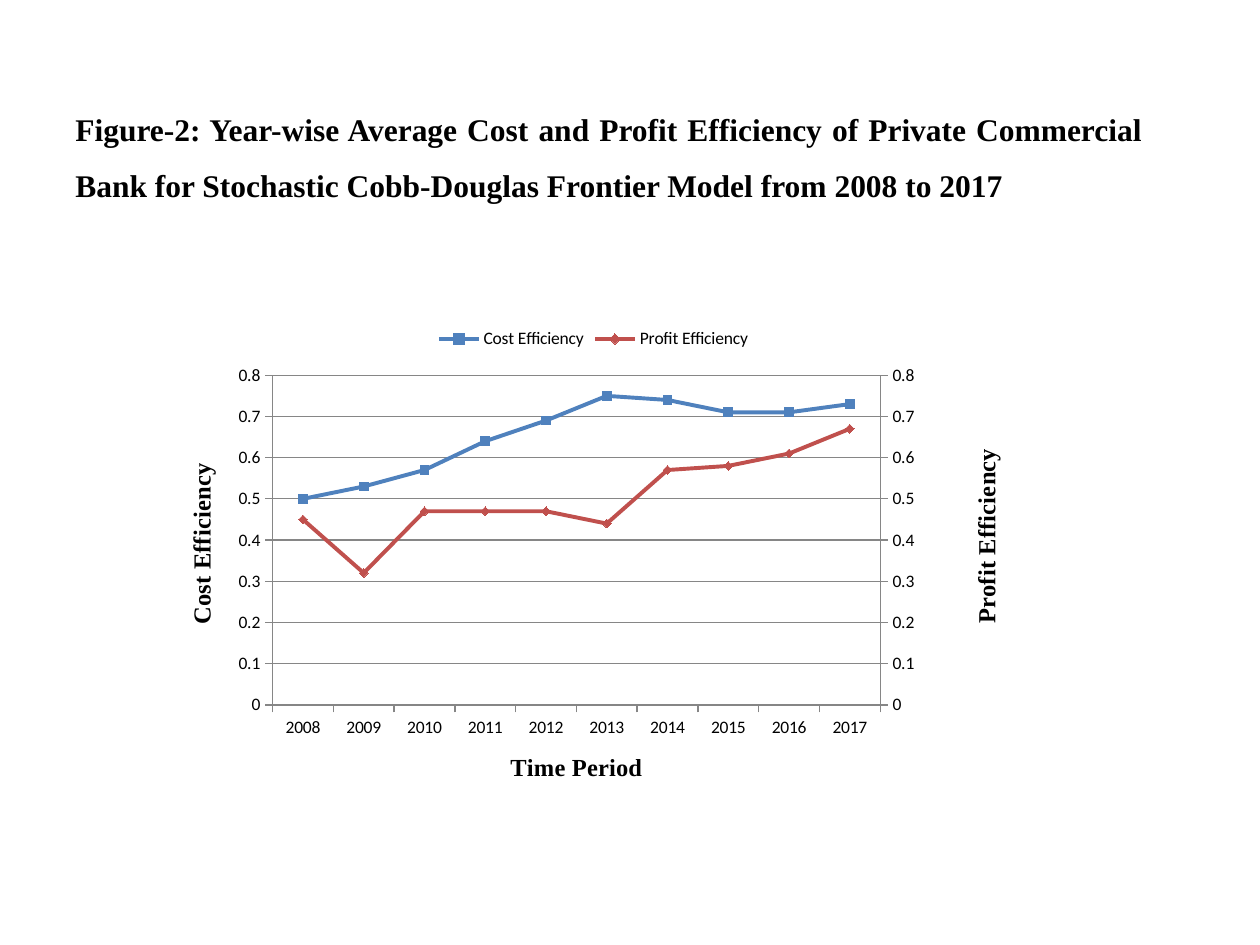
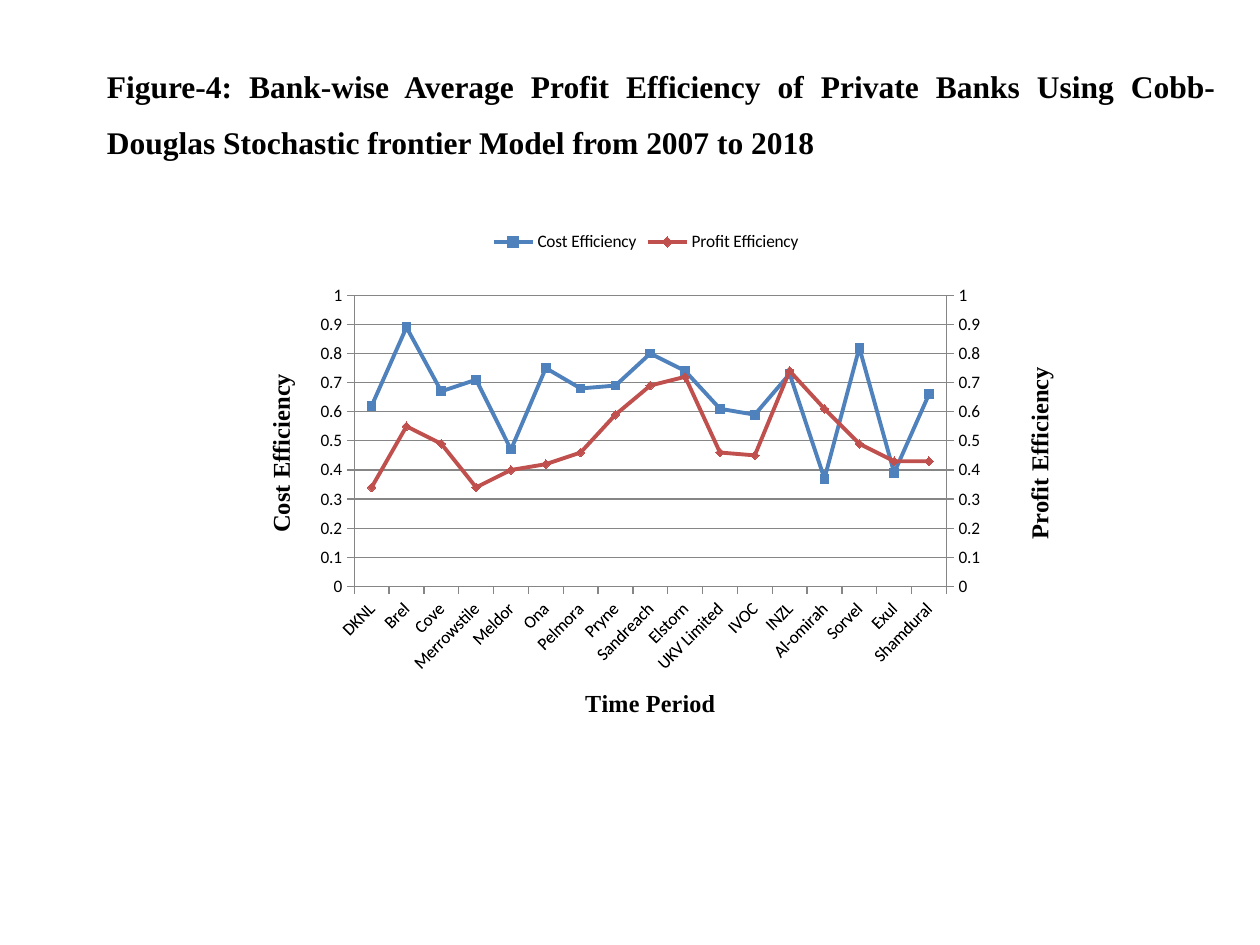
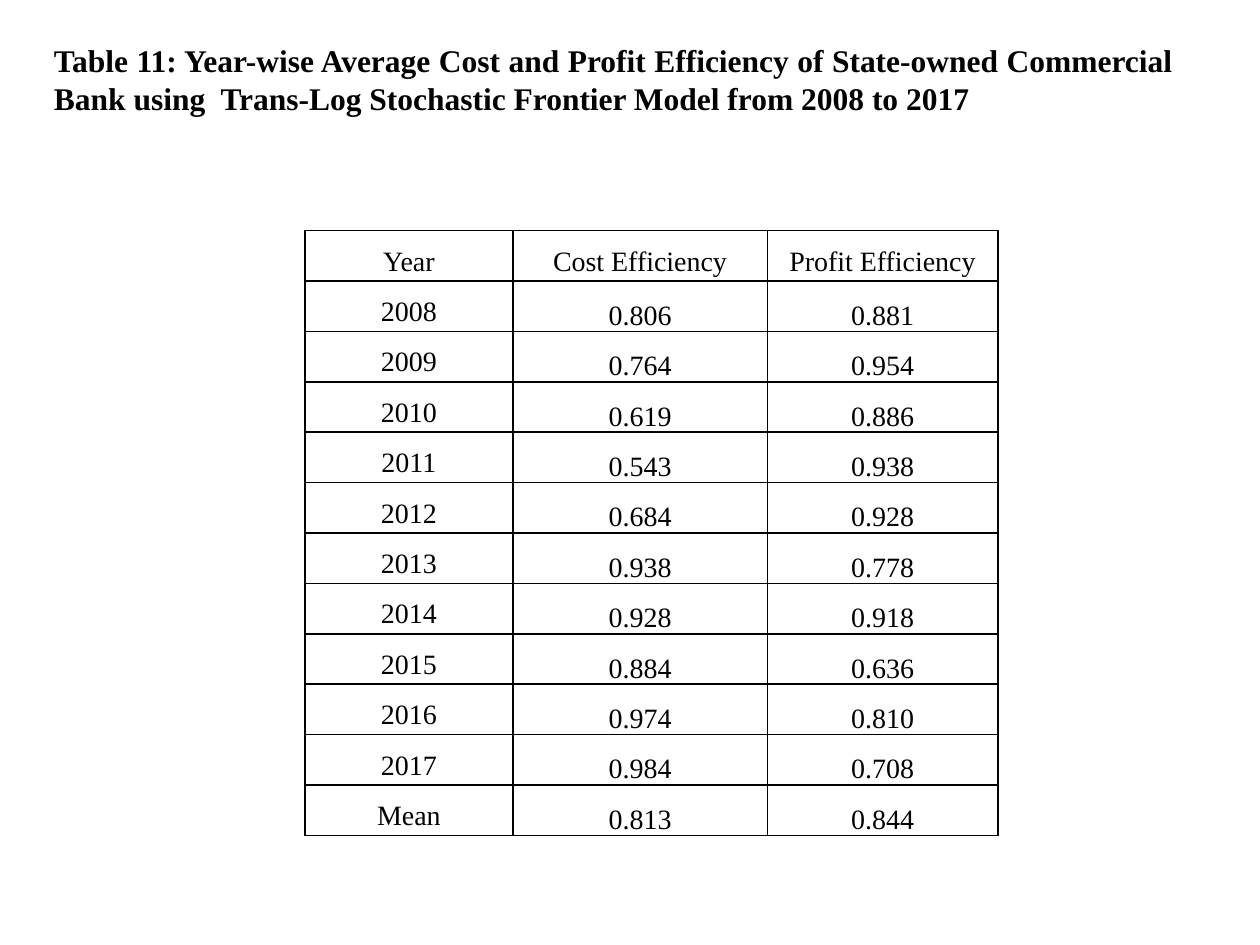
from copy import deepcopy

from lxml import etree
from pptx import Presentation
from pptx.chart.data import CategoryChartData
from pptx.dml.color import RGBColor
from pptx.enum.chart import XL_CHART_TYPE, XL_LEGEND_POSITION, XL_MARKER_STYLE, XL_TICK_MARK
from pptx.enum.text import MSO_ANCHOR, MSO_AUTO_SIZE, PP_ALIGN
from pptx.oxml.ns import qn
from pptx.util import Inches, Pt

LINE_MARKERS = XL_CHART_TYPE.LINE_MARKERS
LEGEND_TOP = XL_LEGEND_POSITION.TOP
MARKERS = (XL_MARKER_STYLE.SQUARE, XL_MARKER_STYLE.DIAMOND)
TICK_OUTSIDE = XL_TICK_MARK.OUTSIDE
TICK_NONE = XL_TICK_MARK.NONE
TOP, MIDDLE, BOTTOM = MSO_ANCHOR.TOP, MSO_ANCHOR.MIDDLE, MSO_ANCHOR.BOTTOM
FIT_SHAPE = MSO_AUTO_SIZE.SHAPE_TO_FIT_TEXT
CENTER, JUSTIFY = PP_ALIGN.CENTER, PP_ALIGN.JUSTIFY

COLORS = {
    "text": "000000",
    "paper": "FFFFFF",
    "cost": "4F81BD",
    "profit": "C0504D",
    "axis": "868686",
}
HEADING_FONT = "Times New Roman"
CHART_FONT = "Calibri"
COST, PROFIT = "Cost Efficiency", "Profit Efficiency"
TIME = "Time Period"

CHART_SLIDES = [
    {
        "title": "Figure-2: Year-wise Average Cost and Profit Efficiency of Private "
                 "Commercial Bank for Stochastic Cobb-Douglas Frontier Model from 2008 to 2017",
        "title_box": (0.5, 0.67, 8.67, 1.01),
        "chart_box": (1.25, 2.5, 6.92, 3.77),
        "plot_percent": (13.2, 12.7, 69.7, 69.4),
        "left_title_percent": (2.7, 30.3),
        "right_title_percent": (92.7, 27.2),
        "maximum": 0.8,
        "categories": [str(year) for year in range(2008, 2018)],
        "cost": [0.5, 0.53, 0.57, 0.64, 0.69, 0.75, 0.74, 0.71, 0.71, 0.73],
        "profit": [0.45, 0.32, 0.47, 0.47, 0.47, 0.44, 0.57, 0.58, 0.61, 0.67],
    },
    {
        "title": "Figure-4: Bank-wise Average Profit Efficiency of Private Banks Using "
                 "Cobb-Douglas Stochastic frontier Model from 2007 to 2018",
        "title_box": (0.75, 0.33, 9, 1.01),
        "chart_box": (1.92, 1.73, 6.5, 4.04),
        "plot_percent": (13.9, 15.2, 73.3, 57.2),
        "left_title_percent": (2.3, 29.3),
        "right_title_percent": (96.2, 27.9),
        "maximum": 1,
        "categories": ["DKNL", "Brel", "Cove", "Merrowstile", "Meldor", "Ona", "Pelmora",
                       "Pryne", "Sandreach", "Elstorn", "UKV Limited", "IVOC", "INZL",
                       "Al-omirah", "Sorvel", "Exul", "Shamdural"],
        "cost": [0.62, 0.89, 0.67, 0.71, 0.47, 0.75, 0.68, 0.69, 0.8, 0.74, 0.61, 0.59,
                 0.73, 0.37, 0.82, 0.39, 0.66],
        "profit": [0.34, 0.55, 0.49, 0.34, 0.4, 0.42, 0.46, 0.59, 0.69, 0.72, 0.46, 0.45,
                   0.74, 0.61, 0.49, 0.43, 0.43],
    },
]

TABLE_TITLE = ("Table 11: Year-wise Average Cost and Profit Efficiency of State-owned "
               "Commercial Bank using  Trans-Log Stochastic Frontier Model from 2008 to 2017")
TABLE_TITLE_BOX = (0.33, 0.27, 9.08, 0.71)
TABLE_ORIGIN = (2.42, 1.83)
COLUMN_WIDTHS = (1.65, 2.02, 1.83)
ROW_HEIGHT = 0.4
TABLE_ROWS = [
    ("Year", COST, PROFIT),
    ("2008", "0.806", "0.881"),
    ("2009", "0.764", "0.954"),
    ("2010", "0.619", "0.886"),
    ("2011", "0.543", "0.938"),
    ("2012", "0.684", "0.928"),
    ("2013", "0.938", "0.778"),
    ("2014", "0.928", "0.918"),
    ("2015", "0.884", "0.636"),
    ("2016", "0.974", "0.810"),
    ("2017", "0.984", "0.708"),
    ("Mean", "0.813", "0.844"),
]


def color(name):
    return RGBColor.from_string(COLORS[name])


def style_font(font, size, name=HEADING_FONT, bold=False):
    font.size, font.name, font.bold = Pt(size), name, bold
    font.color.rgb = color("text")


def write(paragraph, text, size, bold=False):
    run = paragraph.add_run()
    run.text = text
    style_font(run.font, size, bold=bold)


def add_title(slide, text, box, spacing=None, after=None, anchor=TOP):
    frame = slide.shapes.add_textbox(*map(Inches, box)).text_frame
    frame.word_wrap = True
    frame.auto_size = FIT_SHAPE
    frame.vertical_anchor = anchor
    paragraph = frame.paragraphs[0]
    paragraph.alignment = JUSTIFY
    paragraph.line_spacing, paragraph.space_after = spacing, after
    write(paragraph, text, 18, bold=True)


def style_axis(axis, title):
    axis.major_tick_mark, axis.minor_tick_mark = TICK_OUTSIDE, TICK_NONE
    axis.format.line.color.rgb = color("axis")
    axis.format.line.width = Pt(0.75)
    style_font(axis.tick_labels.font, 10, CHART_FONT)
    write(axis.axis_title.text_frame.paragraphs[0], title, 14, bold=True)


def set_layout(part, position, percents, target=None):
    for layout in part.findall(qn("c:layout")):
        part.remove(layout)
    layout = etree.Element(qn("c:layout"))
    manual = etree.SubElement(layout, qn("c:manualLayout"))
    settings = [("layoutTarget", target)] if target else []
    settings += [("xMode", "edge"), ("yMode", "edge")]
    settings += [(tag, round(percent / 100, 3)) for tag, percent in zip("xywh", percents)]
    for tag, value in settings:
        etree.SubElement(manual, qn(f"c:{tag}")).set("val", str(value))
    part.insert(position, layout)


def move_profit_to_right_axis(plot_area):
    cost_lines = plot_area.find(qn("c:lineChart"))
    profit_lines = deepcopy(cost_lines)
    cost_lines.remove(cost_lines.findall(qn("c:ser"))[1])
    profit_lines.remove(profit_lines.findall(qn("c:ser"))[0])
    cost_lines.addnext(profit_lines)

    left_axis = plot_area.find(qn("c:valAx"))
    right_axis = deepcopy(left_axis)
    hidden_axis = deepcopy(plot_area.find(qn("c:catAx")))
    left_axis.addnext(right_axis)
    right_axis.addnext(hidden_axis)

    new_ids = {
        hidden_axis.find(qn("c:axId")).get("val"): "50010",
        right_axis.find(qn("c:axId")).get("val"): "50020",
    }
    for part in (profit_lines, right_axis, hidden_axis):
        for tag in ("c:axId", "c:crossAx"):
            for reference in part.findall(qn(tag)):
                reference.set("val", new_ids[reference.get("val")])

    right_axis.remove(right_axis.find(qn("c:majorGridlines")))
    right_axis.find(qn("c:axPos")).set("val", "r")
    right_axis.find(qn("c:crosses")).set("val", "max")
    right_axis.find(".//" + qn("a:t")).text = PROFIT
    hidden_axis.find(qn("c:delete")).set("val", "1")
    hidden_axis.remove(hidden_axis.find(qn("c:title")))


def add_efficiency_chart(slide, content):
    data = CategoryChartData()
    data.categories = content["categories"]
    data.add_series(COST, content["cost"])
    data.add_series(PROFIT, content["profit"])
    box = map(Inches, content["chart_box"])
    chart = slide.shapes.add_chart(LINE_MARKERS, *box, data).chart
    chart.has_title = False
    style_font(chart.font, 10, CHART_FONT)
    chart.has_legend = True
    chart.legend.position = LEGEND_TOP
    chart.legend.include_in_layout = False
    style_font(chart.legend.font, 10, CHART_FONT)

    plot = chart.plots[0]
    plot.vary_by_categories = False
    for series, name, marker in zip(plot.series, ("cost", "profit"), MARKERS):
        series.smooth = False
        series.format.line.color.rgb = color(name)
        series.format.line.width = Pt(2.25)
        series.marker.style, series.marker.size = marker, 5
        series.marker.format.fill.solid()
        series.marker.format.fill.fore_color.rgb = color(name)
        series.marker.format.line.color.rgb = color(name)

    style_axis(chart.category_axis, TIME)
    axis = chart.value_axis
    style_axis(axis, COST)
    axis.minimum_scale, axis.maximum_scale = 0, content["maximum"]
    axis.major_unit = 0.1
    axis.has_major_gridlines = True
    axis.major_gridlines.format.line.color.rgb = color("axis")
    axis.major_gridlines.format.line.width = Pt(0.75)

    plot_area = chart.element.find(".//" + qn("c:plotArea"))
    title_body = plot_area.find(f"{qn('c:valAx')}/{qn('c:title')}//{qn('a:bodyPr')}")
    title_body.set("rot", "-5400000")
    title_body.set("vert", "horz")
    set_layout(plot_area, 0, content["plot_percent"], "inner")
    move_profit_to_right_axis(plot_area)
    for value_axis, side in zip(plot_area.findall(qn("c:valAx")), ("left", "right")):
        set_layout(value_axis.find(qn("c:title")), 1, content[f"{side}_title_percent"])


def add_borders(cell):
    properties = cell._tc.get_or_add_tcPr()
    for index, side in enumerate("LRTB"):
        line = etree.Element(qn(f"a:ln{side}"), w=str(Pt(1)))
        fill = etree.SubElement(line, qn("a:solidFill"))
        etree.SubElement(fill, qn("a:srgbClr"), val=COLORS["text"])
        properties.insert(index, line)


def add_efficiency_table(slide):
    size = (sum(COLUMN_WIDTHS), ROW_HEIGHT * len(TABLE_ROWS))
    table = slide.shapes.add_table(len(TABLE_ROWS), len(COLUMN_WIDTHS),
                                   *map(Inches, TABLE_ORIGIN + size)).table
    for column, width in zip(table.columns, COLUMN_WIDTHS):
        column.width = Inches(width)
    for row_index, values in enumerate(TABLE_ROWS):
        table.rows[row_index].height = Inches(ROW_HEIGHT)
        for column_index, value in enumerate(values):
            cell = table.cell(row_index, column_index)
            cell.fill.solid()
            cell.fill.fore_color.rgb = color("paper")
            cell.margin_left = cell.margin_right = Inches(0.07)
            cell.margin_top = cell.margin_bottom = 0
            cell.vertical_anchor = BOTTOM if row_index and column_index else TOP
            paragraph = cell.text_frame.paragraphs[0]
            paragraph.alignment = CENTER
            paragraph.line_spacing, paragraph.space_after = 1.5, Pt(10)
            write(paragraph, value, 16)
            add_borders(cell)


presentation = Presentation()
presentation.slide_width, presentation.slide_height = Inches(10), Inches(7.5)
blank_layout = presentation.slide_layouts[6]

for content in CHART_SLIDES:
    slide = presentation.slides.add_slide(blank_layout)
    add_title(slide, content["title"], content["title_box"], 1.5, Pt(10))
    add_efficiency_chart(slide, content)

slide = presentation.slides.add_slide(blank_layout)
add_efficiency_table(slide)
add_title(slide, TABLE_TITLE, TABLE_TITLE_BOX, anchor=MIDDLE)

presentation.save("out.pptx")
